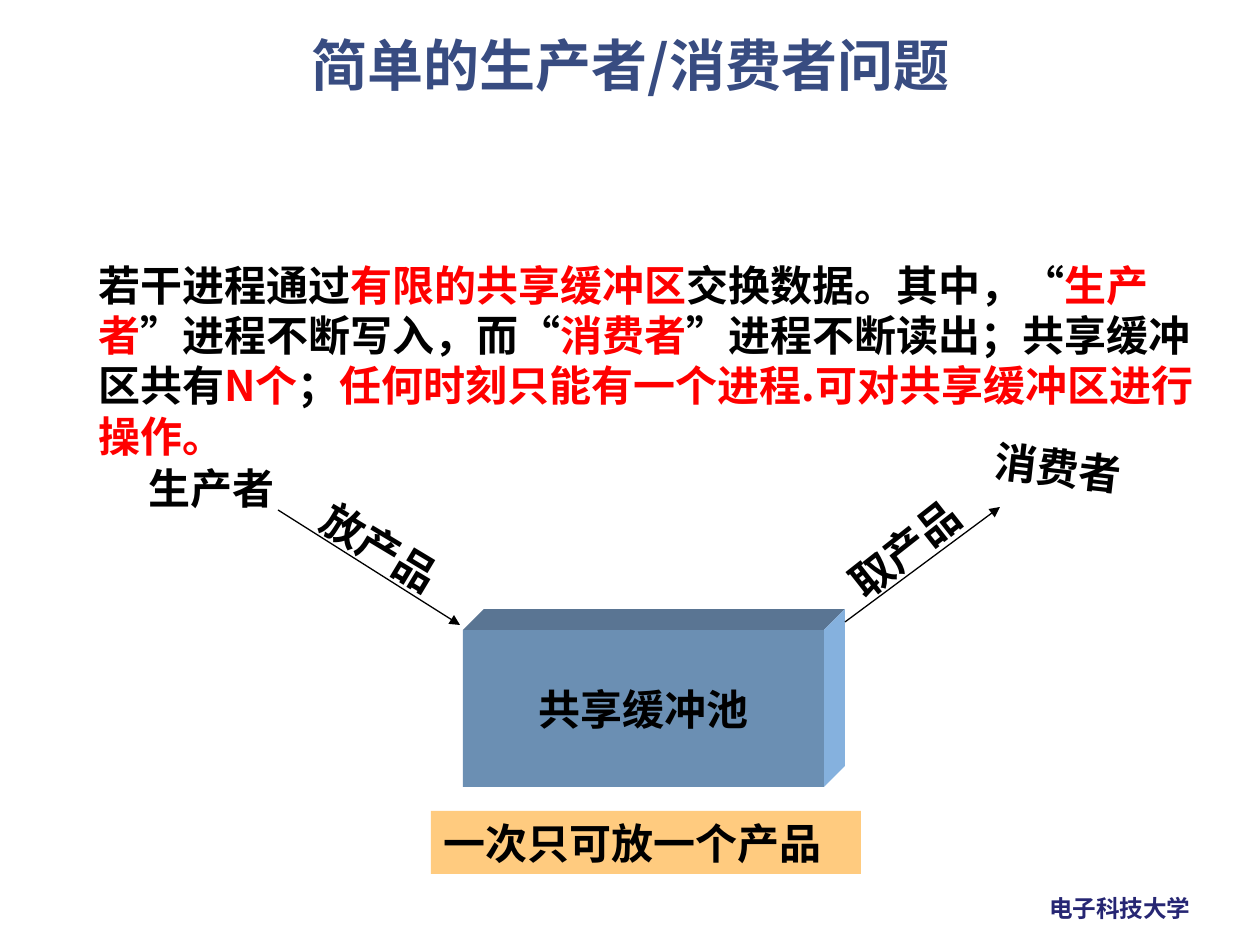
"""Build the producer and consumer problem slide."""
from dataclasses import dataclass

from lxml import etree
from pptx import Presentation
from pptx.dml.color import RGBColor
from pptx.enum import shapes, text
from pptx.oxml import ns
from pptx import util as u

PX_PER_INCH = 126
SANS, SERIF = "Noto Sans CJK SC", "Times New Roman"
BLACK = RGBColor(0x00, 0x00, 0x00)
RED = RGBColor(0xFF, 0x00, 0x00)
NAVY = RGBColor(0x26, 0x26, 0x73)
TITLE_BLUE = RGBColor(0x38, 0x4C, 0x81)
FRONT_BLUE = RGBColor(0x6B, 0x8F, 0xB3)
TOP_BLUE = RGBColor(0x5A, 0x75, 0x93)
SIDE_BLUE = RGBColor(0x85, 0xB1, 0xDE)
ORANGE = RGBColor(0xFF, 0x99, 0x00)
LEFT, CENTER = text.PP_ALIGN.LEFT, text.PP_ALIGN.CENTER
TOP, MIDDLE = text.MSO_ANCHOR.TOP, text.MSO_ANCHOR.MIDDLE


@dataclass(frozen=True)
class Span:
    words: str
    color: RGBColor = BLACK
    font: str = SANS


@dataclass(frozen=True)
class Label:
    box: tuple[int, int, int, int]
    spans: tuple[Span, ...]
    size: float = 24
    rotation: float = 0
    wrap: bool = False
    align: text.PP_ALIGN = LEFT
    anchor: text.MSO_ANCHOR = TOP


@dataclass(frozen=True)
class Arrow:
    start: tuple[int, int]
    end: tuple[int, int]


DESCRIPTION = (
    Span("若干进程通过"), Span("有限的共享缓冲区", RED), Span("交换数据。其中，"),
    Span("“", font=SERIF), Span("生产者", RED), Span("”", font=SERIF),
    Span("进程不断写入，而"),
    Span("“", font=SERIF), Span("消费者", RED), Span("”", font=SERIF),
    Span("进程不断读出；共享缓冲区共有"), Span("N个", RED), Span("；"),
    Span("任何时刻只能有一个进程.可对共享缓冲区进行操作。", RED),
)
LABELS = (
    Label((1037, 888, 169, 42), (Span("电子科技大学", NAVY),), size=13.5),
    Label((86, 253, 1128, 165), DESCRIPTION, wrap=True),
    Label((983, 436, 152, 63), (Span("消费者"),), rotation=6.5),
    Label((136, 456, 152, 63), (Span("生产者"),)),
    Label((240, 518, 281, 58), (Span("放产品"),), rotation=31, align=CENTER, anchor=MIDDLE),
    Label((755, 519, 300, 58), (Span("取产品"),), rotation=321.8, align=CENTER, anchor=MIDDLE),
)
POOL = Label((463, 630, 361, 157), (Span("共享缓冲池"),), align=CENTER, anchor=MIDDLE)
NOTE = Label((431, 811, 430, 63), (Span("一次只可放一个产品"),), wrap=True)
ARROWS = (Arrow((278, 510), (460, 625)), Arrow((845, 622), (1000, 507)))
POOL_DEPTH = 21


def px(length: int) -> int:
    return u.Inches(length / PX_PER_INCH)


def apply(target, formats: dict) -> None:
    for name, value in formats.items():
        setattr(target, name, value)


def write(shape, label: Label, line_spacing) -> None:
    frame = shape.text_frame
    apply(frame, {"auto_size": text.MSO_AUTO_SIZE.NONE, "word_wrap": label.wrap,
                  "vertical_anchor": label.anchor})
    paragraph = frame.paragraphs[0]
    apply(paragraph, {"alignment": label.align, "line_spacing": line_spacing})
    for span in label.spans:
        run = paragraph.add_run()
        run.text = span.words
        apply(run.font, {"size": u.Pt(label.size), "bold": True, "name": span.font})
        run.font.color.rgb = span.color
        etree.SubElement(run.font._element, ns.qn("a:ea")).set("typeface", SANS)


def paint(shape, color: RGBColor) -> None:
    shape.shadow.inherit = False
    shape.fill.solid()
    shape.fill.fore_color.rgb = color
    shape.line.fill.background()


def add_label(slide, label: Label) -> None:
    shape = slide.shapes.add_textbox(*map(px, label.box))
    shape.rotation = label.rotation
    write(shape, label, u.Pt(label.size * 1.2))


def add_panel(slide, label: Label, color: RGBColor):
    shape = slide.shapes.add_shape(shapes.MSO_SHAPE.RECTANGLE, *map(px, label.box))
    paint(shape, color)
    write(shape, label, u.Pt(label.size * 1.2))
    return shape


def add_face(slide, points: list[tuple[int, int]], color: RGBColor) -> None:
    corners = [(px(x), px(y)) for x, y in points]
    builder = slide.shapes.build_freeform(*corners[0])
    builder.add_line_segments(corners[1:], close=True)
    paint(builder.convert_to_shape(), color)


def add_pool(slide) -> None:
    left, top, width, height = POOL.box
    right, bottom, depth = left + width, top + height, POOL_DEPTH
    back_corner = (right + depth, top - depth)
    add_face(slide, [(left, top), (left + depth, top - depth), back_corner, (right, top)], TOP_BLUE)
    add_face(slide, [(right, top), back_corner, (right + depth, bottom - depth), (right, bottom)],
             SIDE_BLUE)
    add_panel(slide, POOL, FRONT_BLUE)


def add_arrow(slide, arrow: Arrow) -> None:
    connector = slide.shapes.add_connector(
        shapes.MSO_CONNECTOR.STRAIGHT, *map(px, arrow.start + arrow.end))
    connector.line.color.rgb = BLACK
    connector.line.width = u.Pt(0.75)
    etree.SubElement(connector.line._get_or_add_ln(), ns.qn("a:tailEnd")).set("type", "triangle")
    etree.SubElement(connector._element.spPr, ns.qn("a:effectLst"))


def add_title(slide) -> None:
    title = slide.shapes.title
    box = (42, 32, 1177, 158)
    apply(title, dict(zip(("left", "top", "width", "height"), map(px, box))))
    words = (Span("简单的生产者/消费者问题", TITLE_BLUE),)
    write(title, Label(box, words, size=32, wrap=True, align=CENTER), 0.9)


def main() -> None:
    presentation = Presentation()
    apply(presentation, {"slide_width": u.Inches(10), "slide_height": u.Inches(7.5)})
    slide = presentation.slides.add_slide(presentation.slide_layouts[5])
    add_title(slide)
    for label in LABELS:
        add_label(slide, label)
    add_pool(slide)
    for arrow in ARROWS:
        add_arrow(slide, arrow)
    note = add_panel(slide, NOTE, ORANGE)
    color = note.fill._xPr.find(f".//{ns.qn('a:srgbClr')}")
    etree.SubElement(color, ns.qn("a:alpha")).set("val", "50000")
    presentation.save("out.pptx")


if __name__ == "__main__":
    main()
